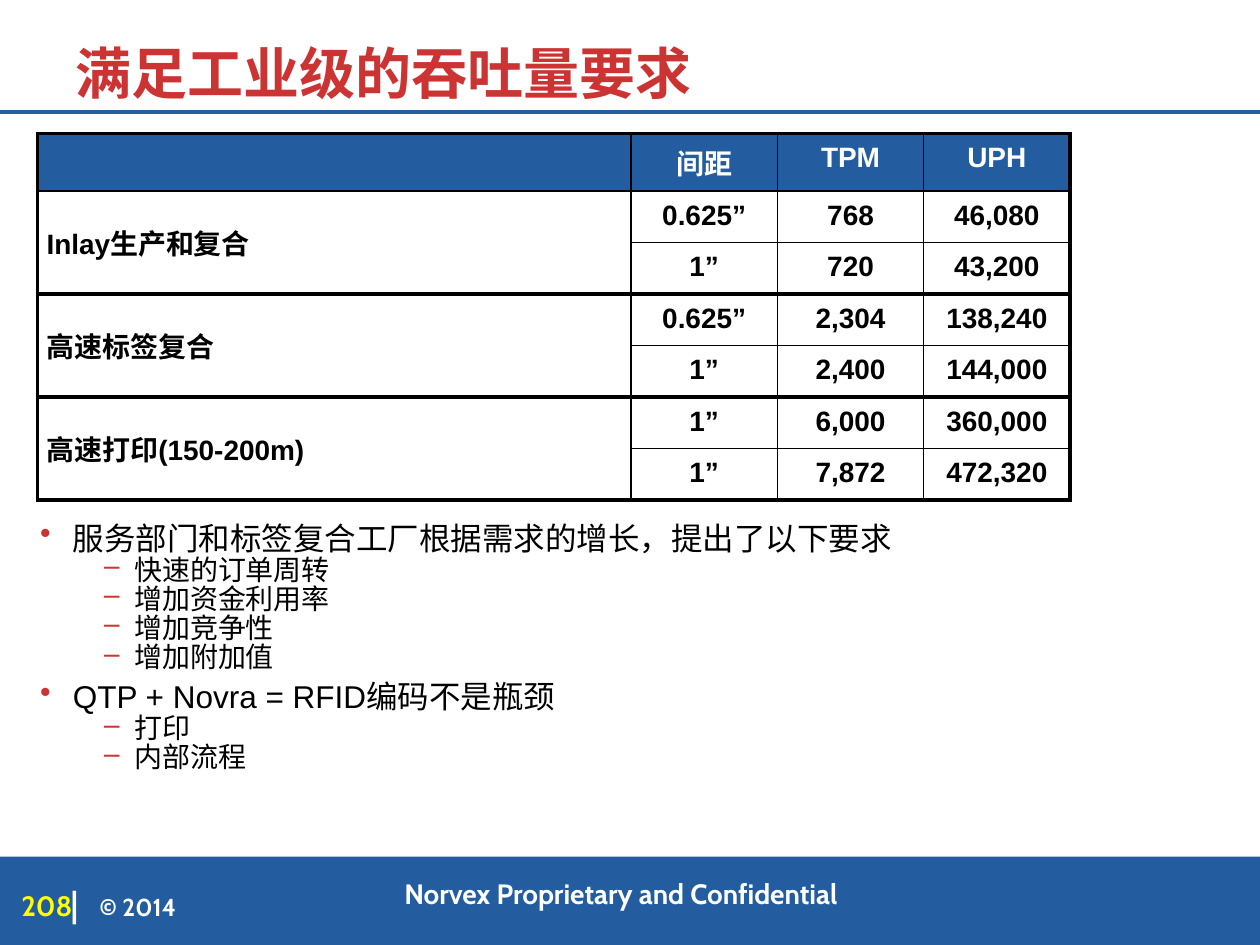
"""Build the slide on industrial throughput requirements."""
from dataclasses import dataclass

from lxml import etree
from pptx import Presentation
from pptx.dml.color import RGBColor
from pptx.enum.shapes import MSO_CONNECTOR, MSO_SHAPE
from pptx.enum.text import MSO_ANCHOR, PP_ALIGN
from pptx.oxml.ns import qn
from pptx.util import Cm, Pt

LEFT, CENTER = PP_ALIGN.LEFT, PP_ALIGN.CENTER
TOP, MIDDLE, BOTTOM = MSO_ANCHOR.TOP, MSO_ANCHOR.MIDDLE, MSO_ANCHOR.BOTTOM
RECTANGLE, STRAIGHT = MSO_SHAPE.RECTANGLE, MSO_CONNECTOR.STRAIGHT

BLUE = RGBColor(0x23, 0x5D, 0x9F)
RED = RGBColor(0xCC, 0x33, 0x33)
YELLOW = RGBColor(0xFF, 0xFF, 0x00)
WHITE = RGBColor(0xFF, 0xFF, 0xFF)
BLACK = RGBColor(0x00, 0x00, 0x00)

THIN, THICK = Pt(1), Pt(2.25)
HEADERS = ("", "间距", "TPM", "UPH")
COLUMN_WIDTHS = (11.96, 2.95, 2.95, 2.95)
HEADER_HEIGHT, ROW_HEIGHT, CELL_MARGIN = 1.16, 1.03, 0.18


@dataclass(frozen=True)
class Label:
    text: str
    left: float
    top: float
    width: float
    height: float
    size: float
    color: RGBColor
    align: PP_ALIGN = LEFT
    anchor: MSO_ANCHOR = MIDDLE
    margin_x: float = 0
    margin_y: float = 0
    line_spacing: float = 1.0


@dataclass(frozen=True)
class Process:
    name: str
    rates: tuple[tuple[str, str, str], ...]


@dataclass(frozen=True)
class BulletStyle:
    symbol: str
    size: float
    indent: float
    hanging: float
    space_before: float


@dataclass(frozen=True)
class Topic:
    text: str
    details: tuple[str, ...]


LABELS = (
    Label("Norvex Proprietary and Confidential", 7.21, 17.65, 10.62, 0.69, 16, WHITE, CENTER, BOTTOM),
    Label("© 2014", 2.01, 17.96, 4.24, 0.64, 14, WHITE),
    Label("208", 0.43, 17.93, 1.27, 0.64, 16, YELLOW),
    Label("|", 1.42, 17.93, 0.66, 0.58, 20, WHITE),
    Label("满足工业级的吞吐量要求", 1.27, 0, 23.8, 2.26, 32, RED, LEFT, BOTTOM, 0.25, 0.13, 0.85),
)
PROCESSES = (
    Process("Inlay生产和复合", (("0.625”", "768", "46,080"), ("1”", "720", "43,200"))),
    Process("高速标签复合", (("0.625”", "2,304", "138,240"), ("1”", "2,400", "144,000"))),
    Process("高速打印(150-200m)", (("1”", "6,000", "360,000"), ("1”", "7,872", "472,320"))),
)
TOPICS = (
    Topic("服务部门和标签复合工厂根据需求的增长，提出了以下要求",
          ("快速的订单周转", "增加资金利用率", "增加竞争性", "增加附加值")),
    Topic("QTP + Novra = RFID编码不是瓶颈", ("打印", "内部流程")),
)
TOPIC_STYLE = BulletStyle("•", 18, 0.66, 0.66, 5.8)
DETAIL_STYLE = BulletStyle("–", 16, 1.9, 0.61, 0.8)


def apply_format(target, values: dict) -> None:
    for name, value in values.items():
        setattr(target, name, value)


def add_run(paragraph, text: str, size: float, color: RGBColor, name: str, bold: bool) -> None:
    run = paragraph.add_run()
    run.text = text
    apply_format(run.font, {"size": Pt(size), "name": name, "bold": bold})
    run.font.color.rgb = color


def add_label(slide, label: Label) -> None:
    box = slide.shapes.add_textbox(Cm(label.left), Cm(label.top), Cm(label.width), Cm(label.height))
    margin_x, margin_y = Cm(label.margin_x), Cm(label.margin_y)
    apply_format(box.text_frame, {
        "word_wrap": True, "vertical_anchor": label.anchor,
        "margin_left": margin_x, "margin_right": margin_x,
        "margin_top": margin_y, "margin_bottom": margin_y,
    })
    paragraph = box.text_frame.paragraphs[0]
    apply_format(paragraph, {"alignment": label.align, "line_spacing": label.line_spacing})
    add_run(paragraph, label.text, label.size, label.color, "Cabin", True)


def add_frame(slide) -> None:
    bar = slide.shapes.add_shape(RECTANGLE, 0, Cm(17.27), Cm(25.4), Cm(1.78))
    bar.shadow.inherit = False
    bar.fill.solid()
    bar.fill.fore_color.rgb = BLUE
    bar.line.fill.background()
    rule = slide.shapes.add_connector(STRAIGHT, 0, Cm(2.26), Cm(25.4), Cm(2.26))
    rule.line.color.rgb = BLUE
    rule.line.width = THICK
    etree.SubElement(rule._element.spPr, qn("a:effectLst"))


def set_borders(cell, widths: dict[str, int]) -> None:
    properties = cell._tc.get_or_add_tcPr()
    for side, width in widths.items():
        border = etree.SubElement(properties, qn(f"a:ln{side}"), w=str(width))
        fill = etree.SubElement(border, qn("a:solidFill"))
        etree.SubElement(fill, qn("a:srgbClr"), val=str(BLACK))


def format_cell(cell, row: int, column: int) -> None:
    is_header, is_name = row == 0, column == 0
    starts_group = is_header or (row > 1 and row % 2 == 1)
    ends_group = row > 0 and (is_name or row % 2 == 0)
    set_borders(cell, {
        "L": THICK if is_name else THIN,
        "R": THICK if column == len(HEADERS) - 1 else THIN,
        "T": THICK if starts_group else THIN,
        "B": THICK if ends_group else THIN,
    })
    if is_header:
        cell.fill.solid()
        cell.fill.fore_color.rgb = BLUE
    else:
        cell.fill.background()
    sides = ("left", "right", "top", "bottom")
    apply_format(cell, {f"margin_{side}": Cm(CELL_MARGIN) for side in sides})
    cell.vertical_anchor = MIDDLE if is_name else TOP


def add_throughput_table(slide) -> None:
    rows = [HEADERS]
    for process in PROCESSES:
        for index, rates in enumerate(process.rates):
            rows.append(("" if index else process.name, *rates))
    height = HEADER_HEIGHT + ROW_HEIGHT * (len(rows) - 1)
    frame = slide.shapes.add_table(
        len(rows), len(HEADERS), Cm(0.76), Cm(2.69), Cm(sum(COLUMN_WIDTHS)), Cm(height))
    table = frame.table
    apply_format(table, {"first_row": False, "horz_banding": False})
    for column, width in zip(table.columns, COLUMN_WIDTHS):
        column.width = Cm(width)
    for row, texts in enumerate(rows):
        table.rows[row].height = Cm(ROW_HEIGHT if row else HEADER_HEIGHT)
        for column, text in enumerate(texts):
            cell = table.cell(row, column)
            format_cell(cell, row, column)
            if text:
                paragraph = cell.text_frame.paragraphs[0]
                paragraph.alignment = CENTER if column else LEFT
                add_run(paragraph, text, 16, BLACK if row else WHITE, "Arial", True)
    for row in range(1, len(rows), 2):
        table.cell(row, 0).merge(table.cell(row + 1, 0))


def add_bullet(paragraph, text: str, style: BulletStyle, is_first: bool) -> None:
    properties = paragraph._p.get_or_add_pPr()
    properties.set("marL", str(Cm(style.indent)))
    properties.set("indent", str(-Cm(style.hanging)))
    color = etree.SubElement(properties, qn("a:buClr"))
    etree.SubElement(color, qn("a:srgbClr"), val=str(RED))
    etree.SubElement(properties, qn("a:buChar"), char=style.symbol)
    space_before = Pt(0 if is_first else style.space_before)
    apply_format(paragraph, {"line_spacing": 0.83, "space_before": space_before})
    add_run(paragraph, text, style.size, BLACK, "Arial", False)


def add_topics(slide) -> None:
    text_frame = slide.shapes.add_textbox(Cm(0.56), Cm(10.46), Cm(23.98), Cm(6.76)).text_frame
    text_frame.word_wrap = True
    items = []
    for topic in TOPICS:
        items.append((topic.text, TOPIC_STYLE))
        items.extend((detail, DETAIL_STYLE) for detail in topic.details)
    for index, (text, style) in enumerate(items):
        paragraph = text_frame.add_paragraph() if index else text_frame.paragraphs[0]
        paragraph.level = int(style is DETAIL_STYLE)
        add_bullet(paragraph, text, style, index == 0)


def main() -> None:
    presentation = Presentation()
    apply_format(presentation, {"slide_width": Cm(25.4), "slide_height": Cm(19.05)})
    slide = presentation.slides.add_slide(presentation.slide_layouts[6])
    add_frame(slide)
    for label in LABELS:
        add_label(slide, label)
    add_throughput_table(slide)
    add_topics(slide)
    presentation.save("out.pptx")


if __name__ == "__main__":
    main()
